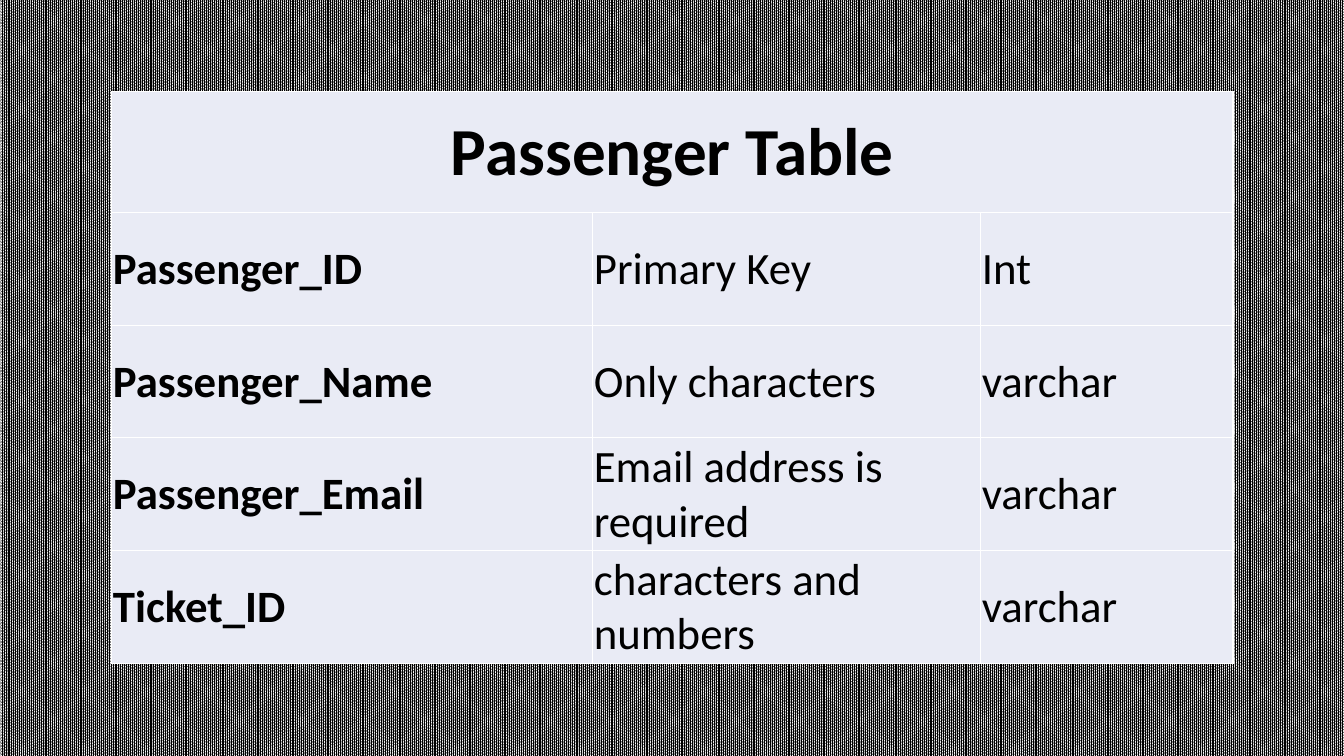
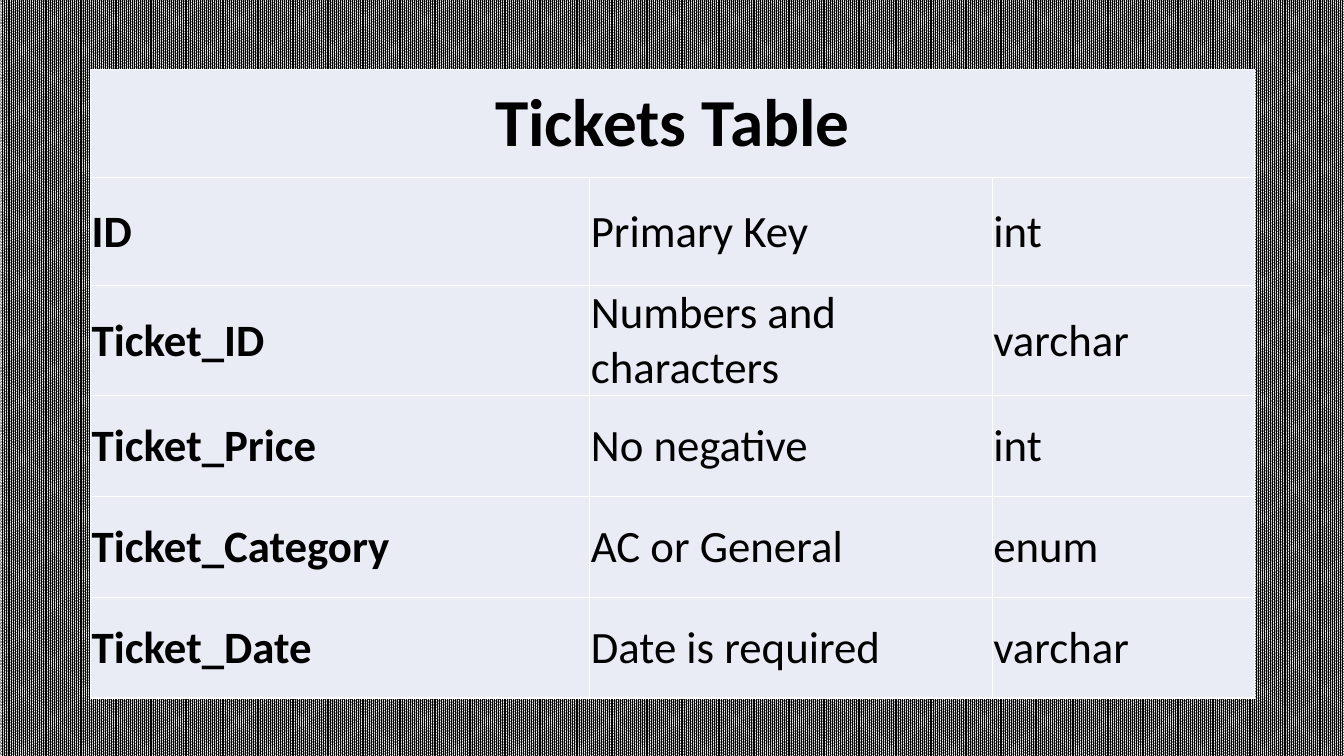
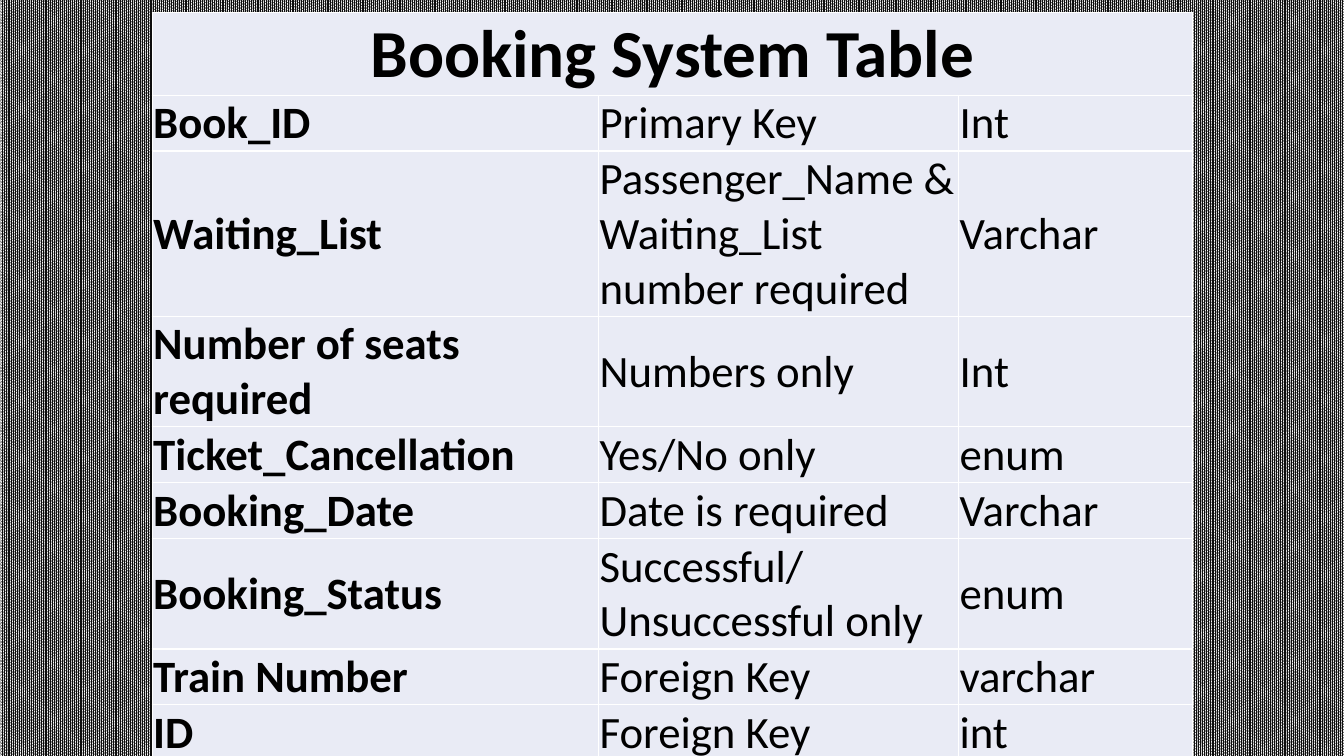
from lxml.etree import SubElement
from pptx import Presentation
from pptx.dml.color import RGBColor
from pptx.enum.dml import MSO_PATTERN
from pptx.enum.text import MSO_ANCHOR, PP_ALIGN
from pptx.oxml.ns import qn
from pptx.util import Inches, Pt

COLORS = {"text": "000000", "cell": "E9EBF5", "border": "FFFFFF", "gap": "FFFFFF",
          "black": "000000", "near_black": "0D0D0D"}
FONT = "Calibri"
COLUMN_SHARES = (0.429, 0.346, 0.225)
CELL_FORMAT = {"margin_left": Inches(0.01), "margin_top": Inches(0.01),
               "margin_right": Inches(0.01), "margin_bottom": 0}
TITLE_FONT = {"size": Pt(48), "bold": True}
FIELD_FONT = {"size": Pt(32), "bold": True}
RULE_FONT = {"size": Pt(32), "bold": False}

# row_weights share out the height of the box, title row first;
# bottom holds the (row, column) cells whose text sits at the bottom.
TABLES = [
    {
        "pattern": "black",
        "box": (1.11, 0.91, 11.12, 5.67),
        "row_weights": (1.2, 1.12, 1.12, 1.12, 1.12),
        "title": "Passenger Table",
        "fields": [
            ("Passenger_ID", "Primary Key", "Int"),
            ("Passenger_Name", "Only characters", "varchar"),
            ("Passenger_Email", "Email address is required", "varchar"),
            ("Ticket_ID", "characters and numbers", "varchar"),
        ],
    },
    {
        "pattern": "black",
        "box": (0.9, 0.69, 11.54, 6.14),
        "row_weights": (1.07, 1.07, 1, 1, 1, 1),
        "title": "Tickets Table",
        "fields": [
            ("ID", "Primary Key", "int"),
            ("Ticket_ID", "Numbers and characters", "varchar"),
            ("Ticket_Price", "No negative", "int"),
            ("Ticket_Category", "AC or General", "enum"),
            ("Ticket_Date", "Date is required", "varchar"),
        ],
        "bottom": {(2, 1)},
    },
    {
        "pattern": "near_black",
        "box": (1.51, 0.12, 10.32, 6.16),
        "row_weights": (1.5, 1, 3, 2, 1, 1, 2, 1, 1),
        "title": "Booking System Table",
        "fields": [
            ("Book_ID", "Primary Key", "Int"),
            ("Waiting_List", "Passenger_Name & Waiting_List number required", "Varchar"),
            ("Number of seats required", "Numbers only", "Int"),
            ("Ticket_Cancellation", "Yes/No only", "enum"),
            ("Booking_Date", "Date is required", "Varchar"),
            ("Booking_Status", "Successful/Unsuccessful only", "enum"),
            ("Train Number", "Foreign Key", "varchar"),
            ("ID", "Foreign Key", "int"),
        ],
        "bottom": {(row, col) for row in (7, 8) for col in range(3)},
    },
]


def rgb(name):
    return RGBColor.from_string(COLORS[name])


def set_format(target, values):
    for name, value in values.items():
        setattr(target, name, value)


def set_background(slide, color):
    fill = slide.background.fill
    fill.patterned()
    fill.pattern = MSO_PATTERN.PERCENT_90
    fill.fore_color.rgb = rgb(color)
    fill.back_color.rgb = rgb("gap")


def style_cell(cell):
    set_format(cell, CELL_FORMAT)
    tc_pr = cell._tc.get_or_add_tcPr()
    for side in ("lnL", "lnR", "lnT", "lnB"):
        line = SubElement(tc_pr, qn(f"a:{side}"), w=str(Pt(1)))
        fill = SubElement(line, qn("a:solidFill"))
        SubElement(fill, qn("a:srgbClr"), val=COLORS["border"])
    cell.fill.solid()
    cell.fill.fore_color.rgb = rgb("cell")


def write_cell(cell, text, font, align=PP_ALIGN.LEFT, anchor=MSO_ANCHOR.MIDDLE):
    cell.vertical_anchor = anchor
    p = cell.text_frame.paragraphs[0]
    p.alignment = align
    r = p.add_run()
    r.text = text
    set_format(r.font, {"name": FONT, **font})
    r.font.color.rgb = rgb("text")


def add_field_table(slide, box, row_weights, title, fields, bottom=()):
    """Title row across the table, then one row of name, rule and type per field."""
    left, top, width, height = (Inches(v) for v in box)
    table = slide.shapes.add_table(len(row_weights), len(COLUMN_SHARES),
                                   left, top, width, height).table
    table.first_row = table.horz_banding = False
    for column, share in zip(table.columns, COLUMN_SHARES):
        column.width = int(width * share)
    for row, weight in zip(table.rows, row_weights):
        row.height = int(height * weight / sum(row_weights))
    for cell in table.iter_cells():
        style_cell(cell)

    table.cell(0, 0).merge(table.cell(0, len(COLUMN_SHARES) - 1))
    write_cell(table.cell(0, 0), title, TITLE_FONT, PP_ALIGN.CENTER)
    for row, field in enumerate(fields, 1):
        for col, text in enumerate(field):
            anchor = MSO_ANCHOR.BOTTOM if (row, col) in bottom else MSO_ANCHOR.MIDDLE
            write_cell(table.cell(row, col), text, RULE_FONT if col else FIELD_FONT,
                       anchor=anchor)


def add_table_slide(prs, pattern, **table):
    slide = prs.slides.add_slide(prs.slide_layouts[6])
    set_background(slide, pattern)
    add_field_table(slide, **table)


def main():
    prs = Presentation()
    prs.slide_width, prs.slide_height = Inches(13.33), Inches(7.5)
    for table in TABLES:
        add_table_slide(prs, **table)
    prs.save("out.pptx")


if __name__ == "__main__":
    main()
